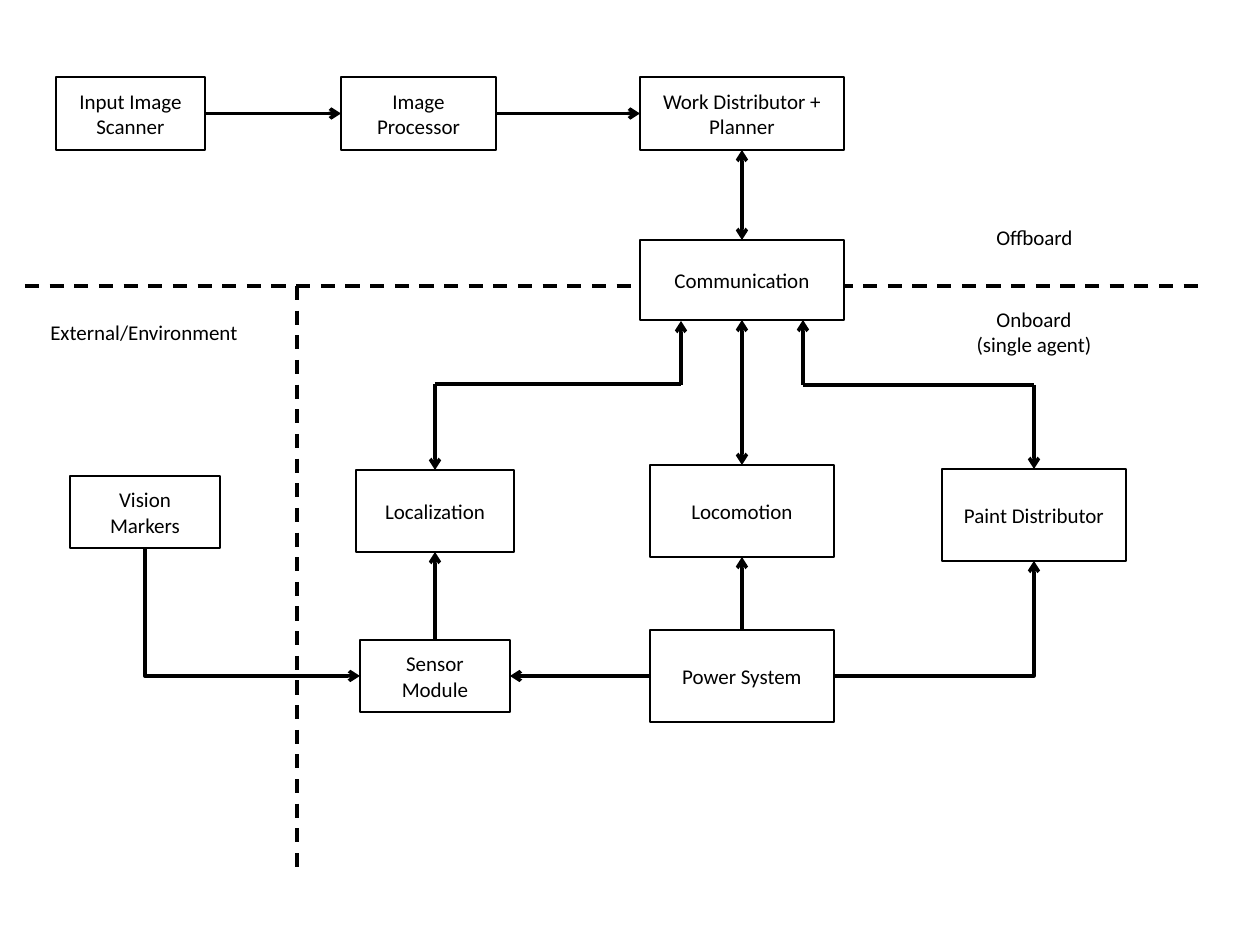
from typing import NamedTuple

from lxml.etree import SubElement
from pptx import Presentation
from pptx.dml.color import RGBColor
from pptx.enum.dml import MSO_LINE
from pptx.enum.shapes import MSO_CONNECTOR, MSO_SHAPE
from pptx.enum.text import MSO_ANCHOR, PP_ALIGN
from pptx.oxml.ns import qn
from pptx.util import Emu, Inches, Pt

COLORS = {"ink": "000000", "paper": "FFFFFF"}
FONT = "Calibri"
TOP, LEFT, BOTTOM, RIGHT = range(4)


def px(n: float) -> Emu:
    return Emu(round(n * 914400 / 126))


def rgb(name: str) -> RGBColor:
    return RGBColor.from_string(COLORS[name])


class Box(NamedTuple):
    text: str
    x: int
    y: int
    w: int
    h: int
    filled: bool = False

    def site(self, side: int) -> tuple[float, float]:
        cx, cy = self.x + self.w / 2, self.y + self.h / 2
        return [(cx, self.y), (self.x, cy), (cx, self.y + self.h), (self.x + self.w, cy)][side]


class Label(NamedTuple):
    text: str
    x: int
    y: int
    w: int
    h: int
    wrap: bool = False


class Line(NamedTuple):
    x1: int
    y1: int
    x2: int
    y2: int
    dashed: bool = False
    tail: bool = False


class Link(NamedTuple):
    start: str
    start_side: int
    end: str
    end_side: int
    both: bool = False


class Elbow(NamedTuple):
    start: str
    start_side: int
    end: str
    end_side: int


BOXES = {
    "planner": Box("Work Distributor + Planner", 640, 77, 204, 73),
    "scanner": Box("Input Image Scanner", 56, 77, 149, 73),
    "processor": Box("Image Processor", 341, 77, 155, 73),
    "comm": Box("Communication", 640, 240, 204, 80, True),
    "localization": Box("Localization", 356, 470, 158, 82),
    "locomotion": Box("Locomotion", 650, 465, 184, 92),
    "paint": Box("Paint Distributor", 942, 469, 184, 92),
    "power": Box("Power System", 650, 630, 184, 92),
    "sensor": Box("Sensor Module", 360, 640, 150, 72),
    "vision": Box("Vision Markers", 70, 476, 150, 72),
}
LABELS = [
    Label("Offboard", 983, 218, 103, 38),
    Label("Onboard (single agent)", 956, 300, 156, 63, True),
    Label("External/Environment", 37, 313, 214, 38),
]
DIVIDERS = [
    Line(25, 286, 1200, 286, dashed=True),
    Line(297, 286, 297, 877, dashed=True),
]
BRANCHES = [
    Line(435, 384, 681, 384),
    Line(803, 385, 1034, 385),
    Line(435, 384, 435, 470, tail=True),
    Line(1034, 385, 1034, 469, tail=True),
    Line(803, 385, 803, 320, tail=True),
    Line(681, 385, 681, 321, tail=True),
]
LINKS = [
    Link("scanner", RIGHT, "processor", LEFT),
    Link("processor", RIGHT, "planner", LEFT),
    Link("planner", BOTTOM, "comm", TOP, True),
    Link("comm", BOTTOM, "locomotion", TOP, True),
    Link("sensor", TOP, "localization", BOTTOM),
    Link("power", LEFT, "sensor", RIGHT),
    Link("power", TOP, "locomotion", BOTTOM),
]
ELBOWS = [
    Elbow("vision", BOTTOM, "sensor", LEFT),
    Elbow("power", RIGHT, "paint", BOTTOM),
]

prs = Presentation()
prs.slide_width, prs.slide_height = Inches(10), Inches(7.5)
s = prs.slides.add_slide(prs.slide_layouts[6])


def write(sp, text: str, wrap: bool) -> None:
    tf = sp.text_frame
    tf.text = text
    tf.word_wrap = wrap
    p = tf.paragraphs[0]
    p.alignment = PP_ALIGN.CENTER
    font = p.runs[0].font
    font.name, font.size = FONT, Pt(12)
    font.color.rgb = rgb("ink")


def draw_box(box: Box):
    sp = s.shapes.add_shape(MSO_SHAPE.RECTANGLE, px(box.x), px(box.y), px(box.w), px(box.h))
    sp.shadow.inherit = False
    if box.filled:
        sp.fill.solid()
        sp.fill.fore_color.rgb = rgb("paper")
    else:
        sp.fill.background()
    sp.line.color.rgb = rgb("ink")
    sp.line.width = Pt(0.75)
    write(sp, box.text, True)
    sp.text_frame.vertical_anchor = MSO_ANCHOR.MIDDLE
    return sp


def draw_label(label: Label) -> None:
    sp = s.shapes.add_textbox(px(label.x), px(label.y), px(label.w), px(label.h))
    write(sp, label.text, label.wrap)


def add_line(kind, x1: float, y1: float, x2: float, y2: float, head=False, tail=False):
    c = s.shapes.add_connector(kind, px(x1), px(y1), px(x2), px(y2))
    c.line.color.rgb = rgb("ink")
    c.line.width = Pt(2)
    ln = c.line._get_or_add_ln()
    for tag, shown in (("a:headEnd", head), ("a:tailEnd", tail)):
        if shown:
            SubElement(ln, qn(tag), type="arrow")
    SubElement(c._element.spPr, qn("a:effectLst"))
    return c


def draw_line(line: Line) -> None:
    c = add_line(MSO_CONNECTOR.STRAIGHT, line.x1, line.y1, line.x2, line.y2, tail=line.tail)
    if line.dashed:
        c.line.dash_style = MSO_LINE.DASH


def draw_link(link: Link, shapes: dict) -> None:
    start = BOXES[link.start].site(link.start_side)
    end = BOXES[link.end].site(link.end_side)
    c = add_line(MSO_CONNECTOR.STRAIGHT, *start, *end, head=link.both, tail=True)
    c.begin_connect(shapes[link.start], link.start_side)
    c.end_connect(shapes[link.end], link.end_side)


def draw_elbow(elbow: Elbow) -> None:
    x1, y1 = BOXES[elbow.start].site(elbow.start_side)
    x2, y2 = BOXES[elbow.end].site(elbow.end_side)
    turned = elbow.start_side in (TOP, BOTTOM)
    if turned:
        cx, cy, dx, dy = (x1 + x2) / 2, (y1 + y2) / 2, (x2 - x1) / 2, (y2 - y1) / 2
        x1, y1, x2, y2 = cx + dy, cy - dx, cx - dy, cy + dx
    c = add_line(MSO_CONNECTOR.ELBOW, x1, y1, x2, y2, tail=True)
    spPr = c._element.spPr
    spPr.find(qn("a:prstGeom")).set("prst", "bentConnector2")
    if turned:
        spPr.find(qn("a:xfrm")).set("rot", str(270 * 60000))


draw_line(DIVIDERS[0])
shapes = {name: draw_box(box) for name, box in BOXES.items()}
draw_line(DIVIDERS[1])
for label in LABELS:
    draw_label(label)
for link in LINKS:
    draw_link(link, shapes)
for elbow in ELBOWS:
    draw_elbow(elbow)
for branch in BRANCHES:
    draw_line(branch)

prs.save("out.pptx")
